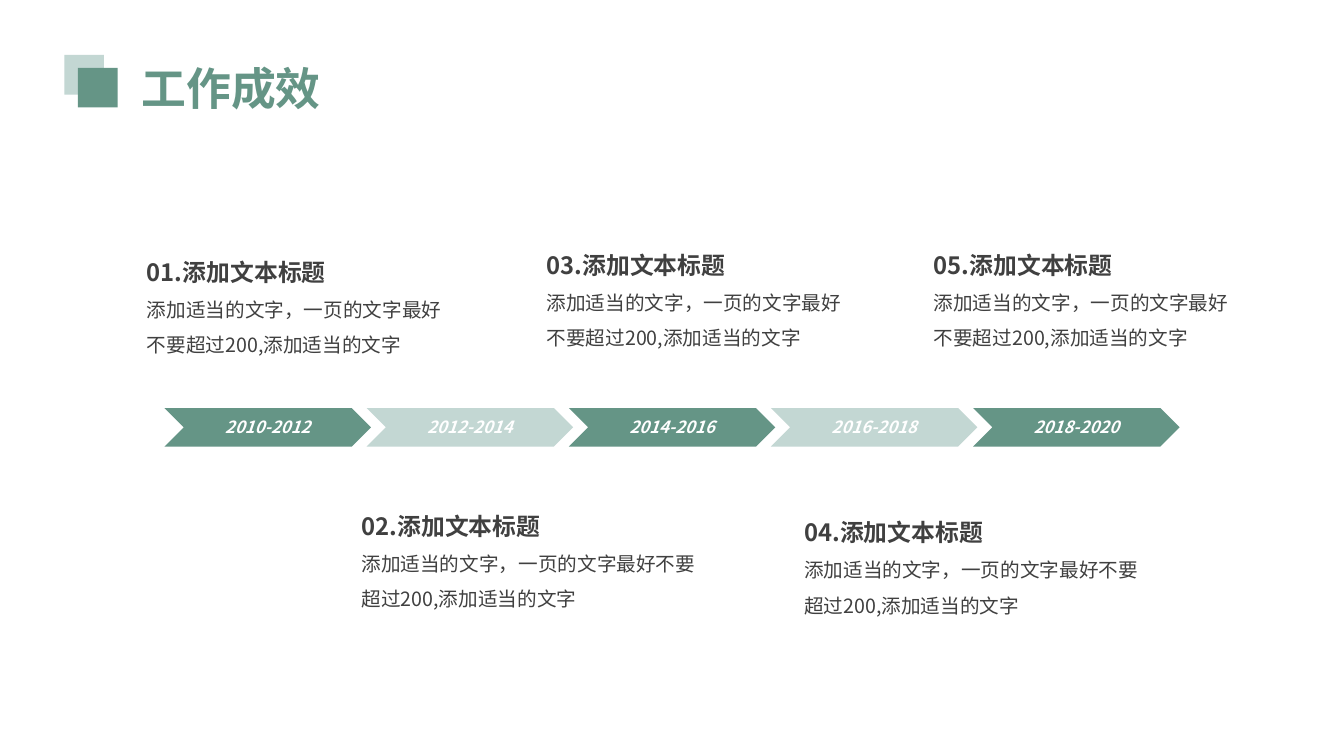
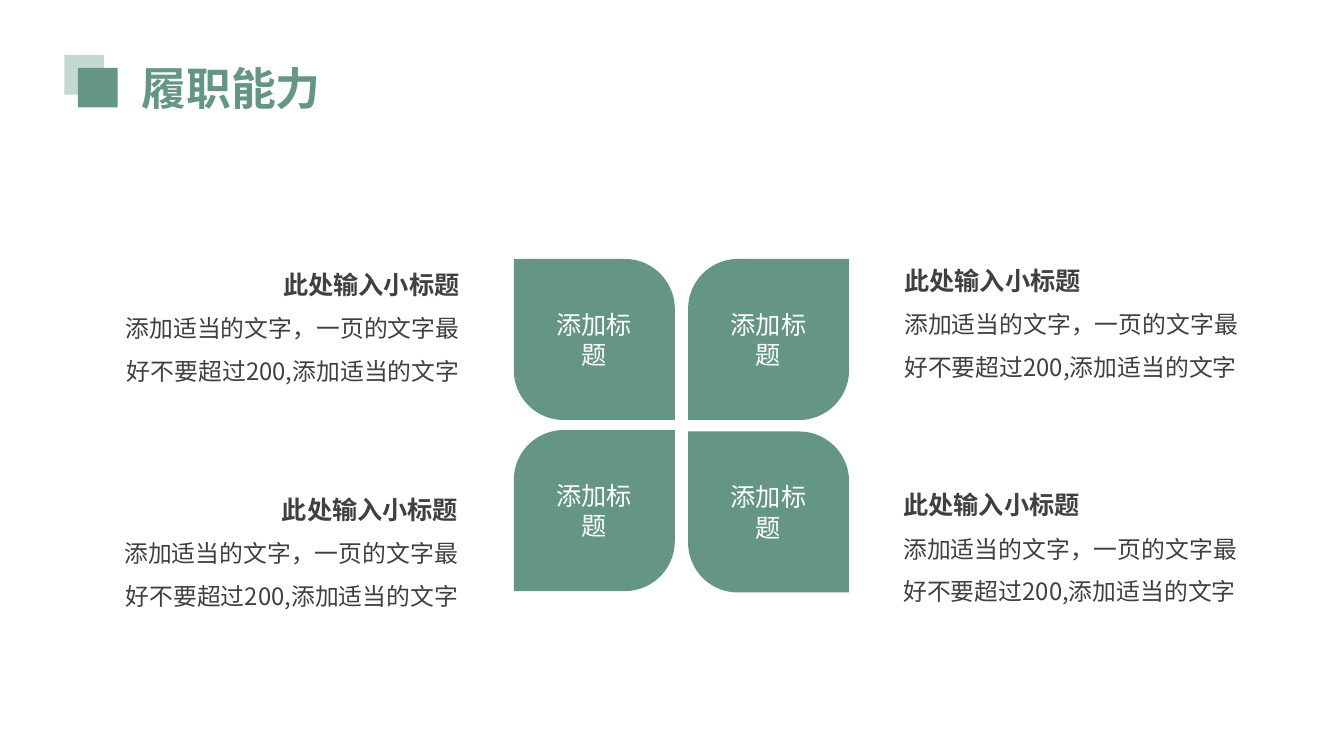
"""Build two slides: a five-stage work timeline and a four-petal capability chart."""
from lxml import etree
from pptx import Presentation
from pptx.dml.color import RGBColor
from pptx.enum import shapes, text
from pptx.oxml import ns
from pptx.util import Pt

COLORS = {"green": "659586", "mist": "C3D7D3", "ink": "404040", "white": "FFFFFF"}
FONT = "Noto Sans CJK SC"
BODY = "添加适当的文字，一页的文字最好不要超过200,添加适当的文字"
LEFT, CENTER, RIGHT = text.PP_ALIGN.LEFT, text.PP_ALIGN.CENTER, text.PP_ALIGN.RIGHT
PRESET = shapes.MSO_SHAPE


def color(name):
    return RGBColor.from_string(COLORS[name])


def write(frame, lines, ink, align=LEFT, spacing=None, italic=None, inset=(7.2, 3.6)):
    frame.word_wrap = True
    frame.margin_left = frame.margin_right = Pt(inset[0])
    frame.margin_top = frame.margin_bottom = Pt(inset[1])
    for index, (words, size, bold) in enumerate(lines):
        paragraph = frame.add_paragraph() if index else frame.paragraphs[0]
        paragraph.text = words
        paragraph.alignment = align
        paragraph.line_spacing = spacing
        font = paragraph.font
        font.name, font.size, font.bold, font.italic = FONT, Pt(size), bold, italic
        font.color.rgb = color(ink)
        defaults = paragraph._p.pPr.find(ns.qn("a:defRPr"))
        etree.SubElement(defaults, ns.qn("a:ea")).set("typeface", FONT)


def add_block(slide, preset, left, top, width, height, fill):
    block = slide.shapes.add_shape(preset, Pt(left), Pt(top), Pt(width), Pt(height))
    block.shadow.inherit = False
    block.fill.solid()
    block.fill.fore_color.rgb = color(fill)
    block.line.fill.background()
    return block


def add_text(slide, left, top, width, height, lines, ink, **style):
    box = slide.shapes.add_textbox(Pt(left), Pt(top), Pt(width), Pt(height))
    write(box.text_frame, lines, ink, **style)
    box.text_frame.auto_size = text.MSO_AUTO_SIZE.SHAPE_TO_FIT_TEXT


def add_titled_slide(deck, title):
    slide = deck.slides.add_slide(deck.slide_layouts[6])
    add_block(slide, PRESET.RECTANGLE, 46, 39.3, 28.3, 28.3, "mist")
    add_block(slide, PRESET.RECTANGLE, 55.7, 48.5, 28.3, 28.3, "green")
    add_text(slide, 94, 39.5, 159, 46, [(title, 32, True)], "green")
    return slide


def add_chevron(slide, position, years):
    fill = "mist" if position % 2 else "green"
    stage = add_block(slide, PRESET.CHEVRON, 117.5 + 144.4 * position, 291.5, 147.5, 27.5, fill)
    write(stage.text_frame, [(years, 12, True)], "white", align=CENTER, italic=True)


def add_petal(slide, left, top, corners):
    petal = add_block(slide, PRESET.ROUND_2_DIAG_RECTANGLE, left, top, 115, 115, "green")
    petal.adjustments[0], petal.adjustments[1] = corners
    words = [("添加标", 18, False), ("题", 18, False)]
    write(petal.text_frame, words, "white", align=CENTER, inset=(9.4, 4.5))


def build_timeline(deck):
    slide = add_titled_slide(deck, "工作成效")
    for position in range(5):
        start = 2010 + 2 * position
        add_chevron(slide, position, f"{start}-{start + 2}")
    notes = [(97, 170, 238.3), (250.3, 351.5, 263.5), (382.5, 165, 229.7),
             (566.5, 356.2, 263.5), (659, 165, 229.7)]
    for number, (left, top, width) in enumerate(notes, 1):
        lines = [(f"{number:02}.添加文本标题", 17, True), (BODY, 14, False)]
        add_text(slide, left, top, width, 89, lines, "ink", spacing=1.5, inset=(7.9, 3.6))


def build_capabilities(deck):
    slide = add_titled_slide(deck, "履职能力")
    rising, falling = (0, 0.31), (0.31, 0)
    petals = [(367, 185, rising), (491.5, 185, falling),
              (367, 307.2, falling), (491.5, 308.2, rising)]
    for petal in petals:
        add_petal(slide, *petal)
    captions = [(636.5, 173.5, LEFT), (635.8, 334, LEFT),
                (78.5, 176.5, RIGHT), (77.5, 337, RIGHT)]
    lines = [("此处输入小标题", 18, True), (BODY, 17, False)]
    for left, top, align in captions:
        add_text(slide, left, top, 259.2, 104.5, lines, "ink",
                 align=align, spacing=1.5, inset=(9.4, 5))


def main():
    deck = Presentation()
    deck.slide_width, deck.slide_height = Pt(960), Pt(540)
    build_timeline(deck)
    build_capabilities(deck)
    deck.save("out.pptx")


if __name__ == "__main__":
    main()
